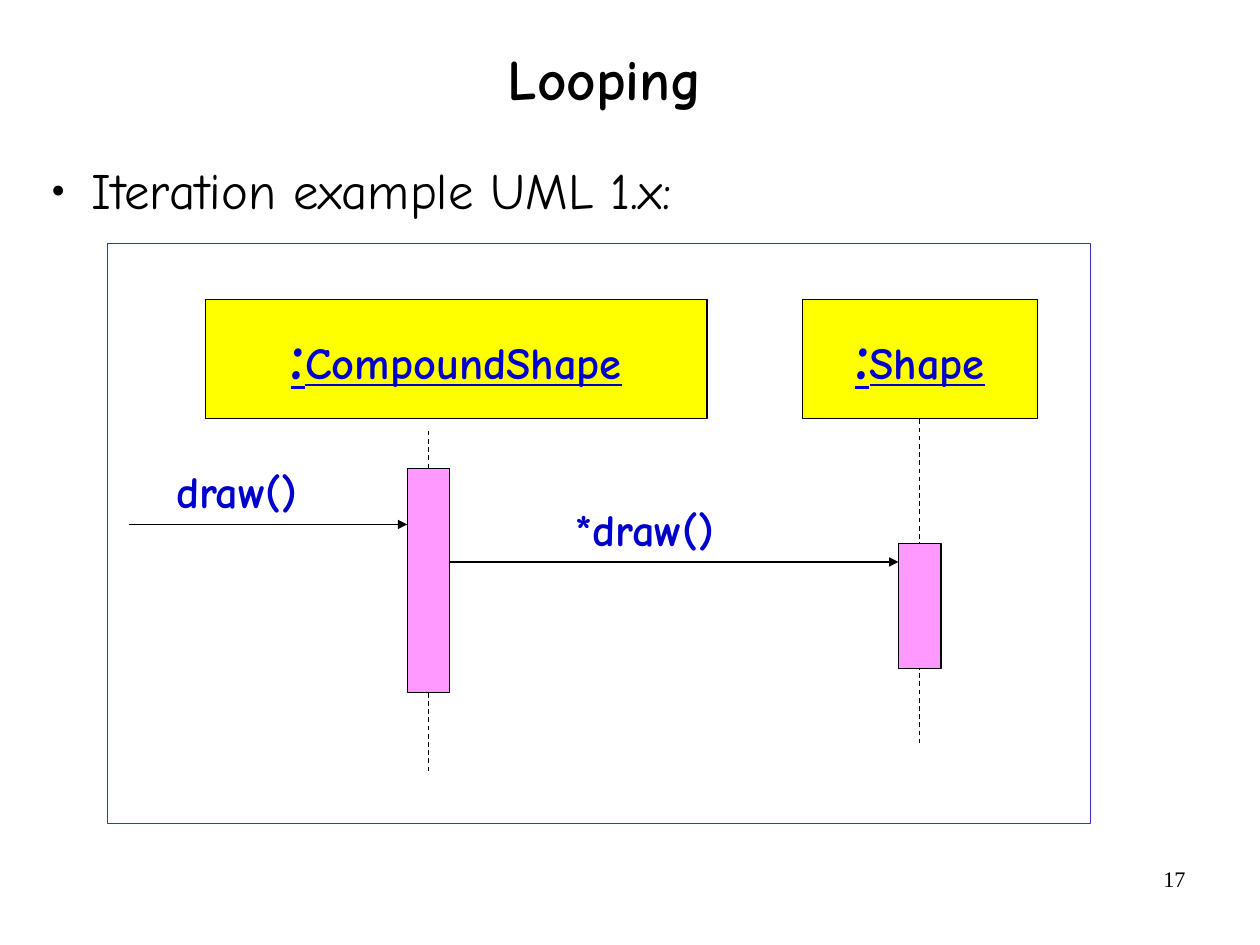
from lxml import etree
from pptx import Presentation
from pptx.dml.color import RGBColor
from pptx.enum.dml import MSO_LINE
from pptx.enum.shapes import MSO_CONNECTOR, MSO_SHAPE
from pptx.enum.text import MSO_ANCHOR, MSO_AUTO_SIZE, PP_ALIGN
from pptx.oxml.ns import qn
from pptx.util import Emu, Pt

BLACK = RGBColor(0x00, 0x00, 0x00)
BLUE = RGBColor(0x00, 0x00, 0xCC)
FRAME_BLUE = RGBColor(0x33, 0x33, 0xCC)
YELLOW = RGBColor(0xFF, 0xFF, 0x00)
PINK = RGBColor(0xFF, 0x99, 0xFF)

RECTANGLE = MSO_SHAPE.RECTANGLE
STRAIGHT = MSO_CONNECTOR.STRAIGHT
DASH = MSO_LINE.DASH
LEFT, CENTER, RIGHT = PP_ALIGN.LEFT, PP_ALIGN.CENTER, PP_ALIGN.RIGHT
TOP, MIDDLE = MSO_ANCHOR.TOP, MSO_ANCHOR.MIDDLE
FIXED, GROW = MSO_AUTO_SIZE.NONE, MSO_AUTO_SIZE.SHAPE_TO_FIT_TEXT

FONT, SERIF = "Comic Neue", "Times New Roman"
WIDTH, HEIGHT = Emu(10080625), Emu(7559675)
LINE_WIDTH = Pt(0.75)

# Positions are percentages of the slide's width and height
HEAD_TOP, HEAD_HEIGHT = 31.68, 12.6
BAR_WIDTH = 3.38
COMPOUND_X, SHAPE_X = 34.01, 73
LABEL_MARGINS = (1, 0.73)


def column(share):
    return round(WIDTH * share / 100)


def row(share):
    return round(HEIGHT * share / 100)


def area(left, top, width, height):
    return column(left), row(top), column(width), row(height)


def write(shape, runs, font=FONT, color=BLACK, bold=False, underline=None,
          align=LEFT, anchor=TOP, spacing=1.0, margins=(0, 0), wrap=True,
          fit=FIXED, bullet=False):
    """Write (text, size) runs as one paragraph of the shape."""
    frame = shape.text_frame
    frame.auto_size = fit
    frame.word_wrap = wrap
    frame.vertical_anchor = anchor
    frame.margin_left = frame.margin_right = column(margins[0])
    frame.margin_top = frame.margin_bottom = row(margins[1])
    paragraph = frame.paragraphs[0]
    paragraph.alignment = align
    paragraph.line_spacing = spacing
    if bullet:
        add_bullet(paragraph)
    for text, size in runs:
        run = paragraph.add_run()
        run.text = text
        run.font.name = font
        run.font.size = Pt(size)
        run.font.bold = bold
        run.font.underline = underline
        run.font.color.rgb = color


def add_bullet(paragraph):
    paragraph.space_after = Pt(13.8)
    properties = paragraph._p.get_or_add_pPr()
    properties.set("marL", str(column(4.17)))
    properties.set("indent", str(-column(3.18)))
    etree.SubElement(properties, qn("a:buSzPct")).set("val", "45000")
    etree.SubElement(properties, qn("a:buFont")).set("typeface", SERIF)
    etree.SubElement(properties, qn("a:buChar")).set("char", "●")


def add_text(slide, place, runs, **text_format):
    write(slide.shapes.add_textbox(*area(*place)), runs, **text_format)


def add_box(slide, place, fill=None, line=BLACK):
    shape = slide.shapes.add_shape(RECTANGLE, *area(*place))
    shape.shadow.inherit = False
    if fill is None:
        shape.fill.background()
    else:
        shape.fill.solid()
        shape.fill.fore_color.rgb = fill
    shape.line.color.rgb = line
    shape.line.width = LINE_WIDTH
    return shape


def add_line(slide, start, end, dashed=False, arrow=False):
    connector = slide.shapes.add_connector(
        STRAIGHT, column(start[0]), row(start[1]), column(end[0]), row(end[1]))
    connector.line.color.rgb = BLACK
    connector.line.width = LINE_WIDTH
    if dashed:
        connector.line.dash_style = DASH
    if arrow:
        line = connector.line._get_or_add_ln()
        etree.SubElement(line, qn("a:tailEnd")).set("type", "triangle")
    etree.SubElement(connector._element.spPr, qn("a:effectLst"))


def add_head(slide, left, width, name):
    head = add_box(slide, (left, HEAD_TOP, width, HEAD_HEIGHT), YELLOW)
    write(head, [(":", 44), (name, 28)], color=BLUE, bold=True, underline=True,
          align=CENTER, anchor=MIDDLE, spacing=0.8, margins=LABEL_MARGINS,
          wrap=False)


def add_lifeline(slide, x, top, bottom, bar_top, bar_height):
    add_line(slide, (x, top), (x, bottom), dashed=True)
    add_box(slide, (x - BAR_WIDTH / 2, bar_top, BAR_WIDTH, bar_height), PINK)


def add_message(slide, start, end, y, text, label_place):
    add_line(slide, (start, y), (end, y), arrow=True)
    add_text(slide, label_place, [(text, 28)], color=BLUE, bold=True,
             spacing=0.8, margins=LABEL_MARGINS, wrap=False, fit=GROW)


def main():
    presentation = Presentation()
    presentation.slide_width, presentation.slide_height = WIDTH, HEIGHT
    slide = presentation.slides.add_slide(presentation.slide_layouts[6])

    # Page number, title and bullet
    add_text(slide, (71.69, 91, 23.32, 6.89), [("17", 14)],
             font=SERIF, align=RIGHT, margins=(0.91, 0.6))
    add_text(slide, (6.17, 0.48, 85.3, 16.57), [("Looping ", 36)],
             bold=True, align=CENTER, anchor=MIDDLE, spacing=0.88)
    add_text(slide, (3.09, 17.65, 85.03, 10.04),
             [("Iteration example UML 1.x:", 32)], spacing=0.88, bullet=True)

    # Diagram frame and object heads
    add_box(slide, (8.53, 25.76, 78.04, 61.43), line=FRAME_BLUE)
    add_head(slide, 16.31, 39.8, "CompoundShape")
    add_head(slide, 63.68, 18.67, "Shape")

    # Lifelines with their activation bars
    add_lifeline(slide, COMPOUND_X, 45.59, 81.86, 49.58, 23.7)
    add_lifeline(slide, SHAPE_X, 44.38, 78.9, 57.5, 13.25)

    # Messages between the bars
    half_bar = BAR_WIDTH / 2
    add_message(slide, COMPOUND_X + half_bar, SHAPE_X - half_bar, 59.47,
                "*draw()", (44.7, 53.5, 13.07, 5.8))
    add_message(slide, 10.25, COMPOUND_X - half_bar, 55.5,
                "draw()", (12.98, 49.52, 11.8, 5.8))

    presentation.save("out.pptx")


if __name__ == "__main__":
    main()
